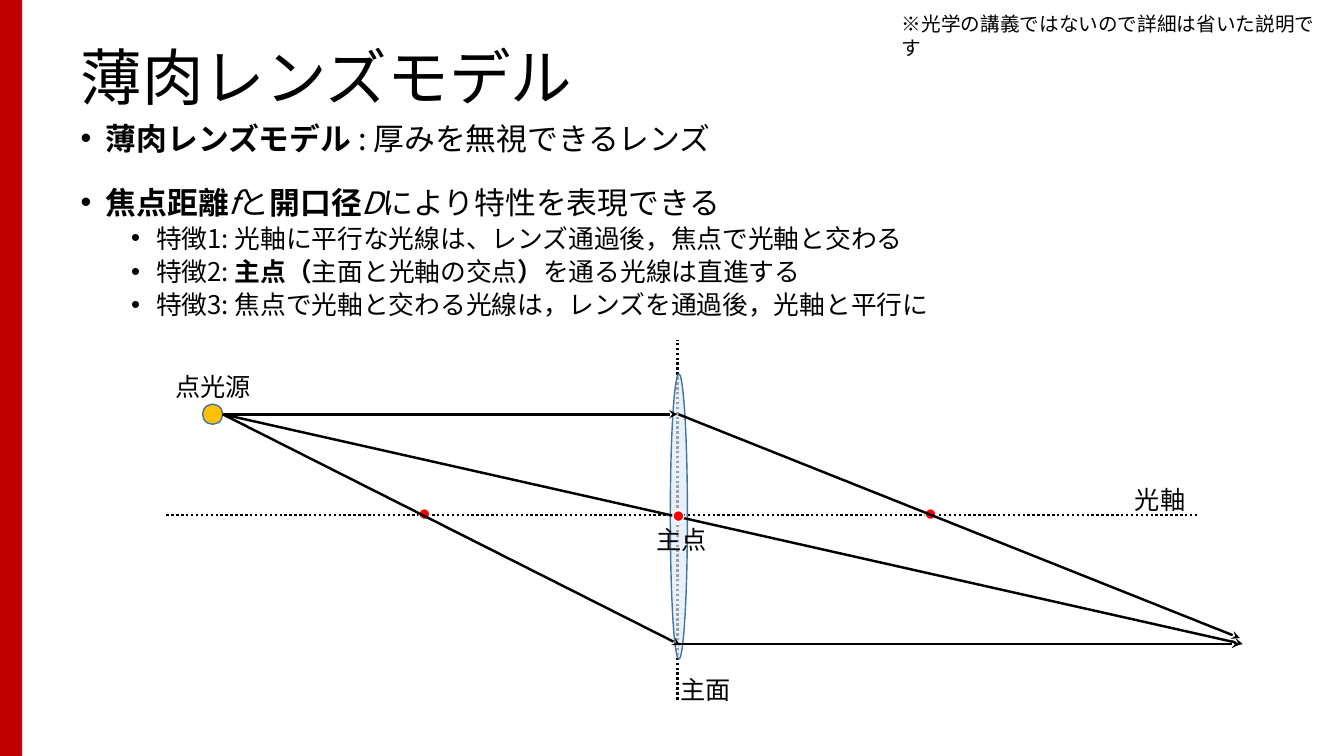
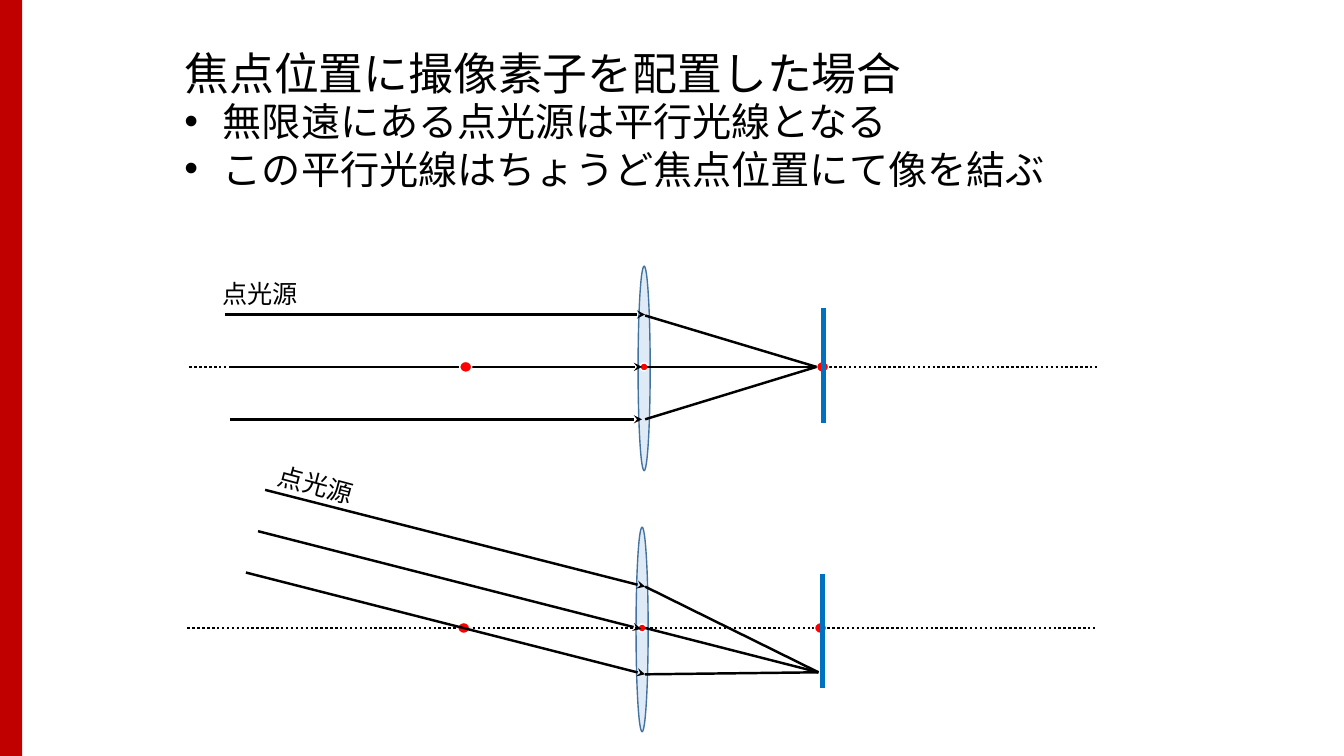
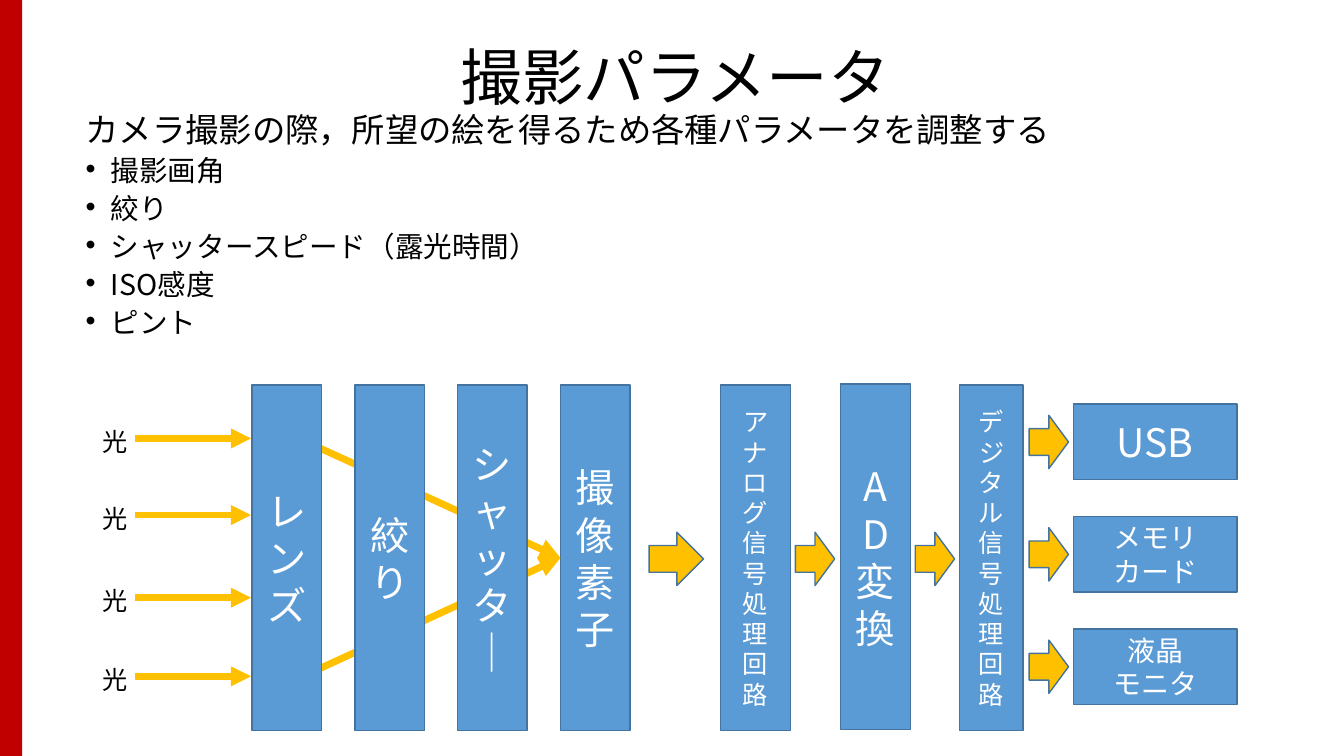
from dataclasses import dataclass
from typing import NamedTuple, Optional, Sequence

from lxml import etree
from pptx import Presentation
from pptx import util as u
from pptx.dml.color import RGBColor
from pptx.enum import dml, shapes, text
from pptx.oxml.ns import qn

CELL = u.Inches(0.1)  # all places and sizes are counted in cells of this grid
COLUMNS, ROWS = 133.33, 75
FONT, NOTE_FONT = "Noto Sans CJK JP", "Calibri"
BLACK, WHITE, CRIMSON, RED = "000000", "FFFFFF", "C00000", "FF0000"
AMBER, BLUE, EDGE, GLASS, SENSOR = "FFC000", "5B9BD5", "43739E", "DEEBF7", "0070C0"
LEFT, CENTER = text.PP_ALIGN.LEFT, text.PP_ALIGN.CENTER
MIDDLE, TOP = text.MSO_ANCHOR.MIDDLE, text.MSO_ANCHOR.TOP
RECT, OVAL = shapes.MSO_SHAPE.RECTANGLE, shapes.MSO_SHAPE.OVAL
ARROW = shapes.MSO_SHAPE.RIGHT_ARROW


class Box(NamedTuple):
    left: float
    top: float
    width: float
    height: float


class Point(NamedTuple):
    x: float
    y: float


class Run(NamedTuple):
    text: str
    bold: bool = False
    italic: bool = False


@dataclass
class Item:
    runs: Sequence[Run]
    size: float
    level: int = 0
    bullet: bool = True
    indent: float = 2.5
    spacing: float = 1
    before: float = 0
    after: float = 0


@dataclass
class Ray:
    start: Point
    end: Point
    head: Optional[str] = None
    color: str = BLACK
    width: float = 1.75
    dotted: bool = False


class Block(NamedTuple):
    label: str
    box: Box
    size: float


def cells(count: float) -> u.Emu:
    return u.Emu(round(count * CELL))


def rgb(value: str) -> RGBColor:
    return RGBColor.from_string(value)


def place(shape, box: Box) -> None:
    shape.left, shape.top, shape.width, shape.height = map(cells, box)


def set_font(font, size: float, color: str = BLACK, name: str = FONT) -> None:
    """Set Latin and East Asian faces alike."""
    font.size, font.name = u.Pt(size), name
    font.color.rgb = rgb(color)
    etree.SubElement(font._rPr, qn("a:ea"), typeface=name)


def add_figure(slide, kind, box: Box, fill: str, edge: Optional[str] = EDGE,
               opacity: Optional[int] = None):
    figure = slide.shapes.add_shape(kind, *map(cells, box))
    figure.shadow.inherit = False
    figure.fill.solid()
    figure.fill.fore_color.rgb = rgb(fill)
    if opacity is not None:
        tint = figure._element.spPr.find(".//" + qn("a:srgbClr"))
        etree.SubElement(tint, qn("a:alpha"), val=str(opacity * 1000))
    if edge is None:
        figure.line.fill.background()
    else:
        figure.line.color.rgb = rgb(edge)
        figure.line.width = u.Pt(1)
    return figure


def add_dot(slide, center: Point, width: float = 1.1, height: float = 1.1) -> None:
    box = Box(center.x - width / 2, center.y - height / 2, width, height)
    add_figure(slide, OVAL, box, RED, WHITE)


def add_ray(slide, ray: Ray):
    line = slide.shapes.add_connector(
        shapes.MSO_CONNECTOR.STRAIGHT, *map(cells, (*ray.start, *ray.end)))
    line.line.color.rgb = rgb(ray.color)
    line.line.width = u.Pt(ray.width)
    if ray.dotted:
        line.line.dash_style = dml.MSO_LINE.ROUND_DOT
    properties = line._element.spPr
    if ray.head:
        etree.SubElement(properties.find(qn("a:ln")), qn("a:tailEnd"), type=ray.head)
    etree.SubElement(properties, qn("a:effectLst"))
    return line


def add_label(slide, words: str, box: Box, size: float = 18, name: str = FONT,
              wrap: bool = False, rotation: float = 0) -> None:
    label = slide.shapes.add_textbox(*map(cells, box))
    label.rotation = rotation
    label.text_frame.word_wrap = wrap
    paragraph = label.text_frame.paragraphs[0]
    paragraph.text = words
    set_font(paragraph.font, size, name=name)


def add_block(slide, block: Block):
    shape = add_figure(slide, RECT, block.box, BLUE)
    frame = shape.text_frame
    frame.word_wrap, frame.vertical_anchor = True, MIDDLE
    frame.text = block.label
    for paragraph in frame.paragraphs:
        paragraph.alignment = CENTER
        set_font(paragraph.font, block.size, WHITE)
    return shape


def set_title(slide, words: str, box: Box, size: float = 44, align=LEFT,
              anchor=MIDDLE, spacing: float = 0.9) -> None:
    title = slide.shapes.title
    place(title, box)
    frame = title.text_frame
    frame.auto_size, frame.vertical_anchor = text.MSO_AUTO_SIZE.NONE, anchor
    paragraph = frame.paragraphs[0]
    paragraph.text, paragraph.alignment = words, align
    paragraph.line_spacing = spacing
    set_font(paragraph.font, size)


def set_list(slide, items: Sequence[Item], box: Box) -> None:
    body = slide.placeholders[1]
    place(body, box)
    frame = body.text_frame
    frame.auto_size, frame.word_wrap = text.MSO_AUTO_SIZE.NONE, True
    for index, item in enumerate(items):
        paragraph = frame.add_paragraph() if index else frame.paragraphs[0]
        paragraph.level = item.level
        paragraph.line_spacing = item.spacing
        paragraph.space_before = u.Pt(item.before)
        paragraph.space_after = u.Pt(item.after)
        properties = paragraph._p.get_or_add_pPr()
        hang = item.indent if item.bullet else 0
        properties.set("marL", str(cells(hang + 5 * item.level)))
        properties.set("indent", str(-cells(hang)))
        if item.bullet:
            etree.SubElement(properties, qn("a:buFont"), typeface="Arial")
            etree.SubElement(properties, qn("a:buChar"), char="•")
        else:
            etree.SubElement(properties, qn("a:buNone"))
        set_font(paragraph.font, item.size)
        for part in item.runs:
            run = paragraph.add_run()
            run.text = part.text
            if part.bold:
                run.font.bold = True
            if part.italic:
                run.font.italic = True


def add_slide(prs):
    return prs.slides.add_slide(prs.slide_layouts[1])


def move_band_to_master(prs, slide) -> None:
    band = add_figure(slide, RECT, Box(0, 0, 2.2, ROWS), CRIMSON, None)
    prs.slide_master.shapes._spTree.insert(2, band._element)


def build_thin_lens(slide) -> None:
    axis_y, plane_x = 51.1, 67.2
    add_ray(slide, Ray(Point(plane_x, 69.4), Point(plane_x, 33.7), dotted=True))
    set_title(slide, "薄肉レンズモデル", Box(7, 4, 118.4, 8))
    features = (
        [Run("特徴1: 光軸に平行な光線は、レンズ通過後，焦点で光軸と交わる")],
        [Run("特徴2: "), Run("主点（", bold=True), Run("主面と光軸の交点"),
         Run("）", bold=True), Run("を通る光線は直進する")],
        [Run("特徴3: 焦点で光軸と交わる光線は，レンズを通過後，光軸と平行に")],
    )
    set_list(slide, [
        Item([Run("薄肉レンズモデル ", bold=True), Run(": 厚みを無視できるレンズ")],
             22, spacing=0.8, after=24.5),
        Item([Run("焦点距離", bold=True), Run("f", italic=True), Run("と"),
              Run("開口径", bold=True), Run("D", italic=True),
              Run("により特性を表現できる")], 22, spacing=0.8, after=6),
        *(Item(runs, 18.4, level=1, spacing=0.8, after=6) for runs in features),
    ], Box(7, 12.1, 118.4, 21.3))
    add_figure(slide, OVAL, Box(66.5, 37.1, 1.7, 28.3), GLASS, opacity=69)
    add_ray(slide, Ray(Point(16.5, axis_y), Point(119, axis_y), dotted=True))
    for focus_x in (42.1, 92.3):
        add_dot(slide, Point(focus_x, axis_y - 0.1))
    add_figure(slide, OVAL, Box(20.1, 40.1, 2, 2), AMBER)
    source, image = Point(22.1, 41.1), Point(123, 63.9)
    for start, end in (
        (source, Point(plane_x, source.y)),
        (Point(67.3, source.y), Point(image.x, 63.3)),
        (source, Point(123.3, image.y)),
        (Point(67.3, image.y), image),
        (source, Point(67.5, 64)),
    ):
        add_ray(slide, Ray(start, end, "stealth"))
    add_dot(slide, Point(67.3, axis_y + 0.1))
    for words, box in (
        ("点光源", Box(16.4, 36.3, 9.6, 4)),
        ("主点", Box(64.1, 51.5, 7.1, 4)),
        ("主面", Box(66.5, 66.4, 7.1, 4)),
        ("光軸", Box(111.6, 47.6, 7.1, 4)),
    ):
        add_label(slide, words, box)
    add_label(slide, "※光学の講義ではないので詳細は省いた説明です",
              Box(88.5, 0.7, 44, 3.4), 14, NOTE_FONT, wrap=True)


def add_lens(slide, axis: Point) -> None:
    """Draw the lens, its optical axis and its centre."""
    add_figure(slide, OVAL, Box(axis.x - 0.6, axis.y - 10, 1.2, 20.3), GLASS)
    add_ray(slide, Ray(Point(axis.x - 45.1, axis.y), Point(axis.x + 45.2, axis.y),
                       dotted=True))
    add_dot(slide, axis, 0.8, 0.8)


def add_foci(slide, axis: Point) -> None:
    for offset in (-17.7, 17.7):
        add_dot(slide, Point(axis.x + offset, axis.y), 1.2)


def add_rays(slide, rays: Sequence[Sequence[Point]], head: Optional[str] = None) -> None:
    for start, end in rays:
        add_ray(slide, Ray(start, end, head))


def build_sensor_at_focus(slide) -> None:
    set_title(slide, "焦点位置に撮像素子を配置した場合", Box(17.3, 4, 115, 6),
              32, anchor=TOP, spacing=1)
    set_list(slide, [Item([Run(words)], 28, indent=3.8) for words in (
        "無限遠にある点光源は平行光線となる",
        "この平行光線はちょうど焦点位置にて像を結ぶ",
    )], Box(17.3, 9.2, 115, 15.3))

    upper, focus = Point(63.9, 36.4), Point(81, 36.4)
    add_lens(slide, upper)
    add_rays(slide, [(Point(22.3, 31.2), Point(64, 31.2)),
                     (Point(22.8, 36.4), Point(63.7, 36.4)),
                     (Point(22.8, 41.6), Point(63.7, 41.6))], "stealth")
    add_foci(slide, upper)
    add_rays(slide, [(Point(64, 31.3), focus), (Point(64.2, 36.4), focus),
                     (Point(64, 41.6), focus)])
    add_label(slide, "点光源", Box(21.1, 27.1, 9.6, 4))

    lower, image = Point(63.7, 62.3), Point(81.2, 66.7)
    add_lens(slide, lower)
    add_foci(slide, lower)
    add_rays(slide, [(Point(64, 58.2), image), (Point(64, 62.3), image),
                     (Point(64, 66.9), image)])
    add_rays(slide, [(Point(26.3, 48.6), Point(64, 58.2)),
                     (Point(25.6, 52.7), Point(63.6, 62.4)),
                     (Point(24.4, 56.8), Point(64, 66.9))], "stealth")
    add_label(slide, "点光源", Box(26.6, 46.1, 9.6, 4), rotation=15)

    for x, top in ((81.7, 30.6), (81.6, 56.9)):
        add_ray(slide, Ray(Point(x, top), Point(x, top + 11.4), color=SENSOR, width=3.25))


def build_parameters(slide) -> None:
    set_title(slide, "撮影パラメータ", Box(3, 4, 128, 8), align=CENTER)
    parameters = ("撮影画角", "絞り", "シャッタースピード（露光時間）", "ISO感度", "ピント")
    set_list(slide, [
        Item([Run("カメラ撮影の際，所望の絵を得るため各種パラメータを調整する")],
             23.8, bullet=False, spacing=0.7),
        *(Item([Run(words)], 20.4, spacing=0.7, before=10) for words in parameters),
    ], Box(7.5, 11.4, 123.6, 23.5))

    top, width, height, pitch = 38.2, 6.9, 34.3, 10.2
    sensor = add_block(slide, Block(
        "撮像素子", Box(25 + 3 * pitch, top, width, height), 28))
    for start in (Point(28.1, 42.8), Point(28.3, 67.9)):
        ray = add_ray(slide, Ray(start, Point(55.6, 55.4), "triangle", AMBER, 5))
        ray.end_connect(sensor, 1)
    optics = [Block(words, Box(25 + index * pitch, top, width, height), 28)
              for index, words in enumerate(("レンズ", "絞り", "シャッタ｜"))]
    circuits = [
        Block("アナログ信号処理\n回路", Box(71.5, top, width, height), 18),
        Block("AD変換", Box(83.4, top - 0.1, width, height), 28),
        Block("デジタル信号処理回路", Box(95.2, top, 6.3, height), 18),
    ]
    output_rows = [40.1 + 11.15 * row for row in range(3)]
    outputs = [Block(words, Box(106.5, row, 16.2, 7.5), size)
               for row, (words, size) in zip(output_rows, (
                   ("USB", 28), ("メモリ\nカード", 20), ("液晶\nモニタ", 20)))]
    for block in optics + circuits + outputs:
        add_block(slide, block)

    for y in (43.5, 51.1, 59.3, 67.1):
        add_ray(slide, Ray(Point(13.4, y), Point(24.9, y), "triangle", AMBER, 4.75))
        add_label(slide, "光", Box(9.2, y - 1.7, 4.5, 4))

    flow = [Box(64.4, 52.8, 5.4, 5.3), Box(78.9, 52.8, 3.9, 5.3), Box(90.8, 52.8, 3.9, 5.3)]
    flow += [Box(102.1, row + 1.1, 3.9, 5.3) for row in output_rows]
    for box in flow:
        add_figure(slide, ARROW, box, AMBER)


def main() -> None:
    prs = Presentation()
    prs.slide_width, prs.slide_height = cells(COLUMNS), cells(ROWS)
    for number, build in enumerate((build_thin_lens, build_sensor_at_focus, build_parameters)):
        slide = add_slide(prs)
        if number == 0:
            move_band_to_master(prs, slide)
        build(slide)
    prs.save("out.pptx")


if __name__ == "__main__":
    main()
